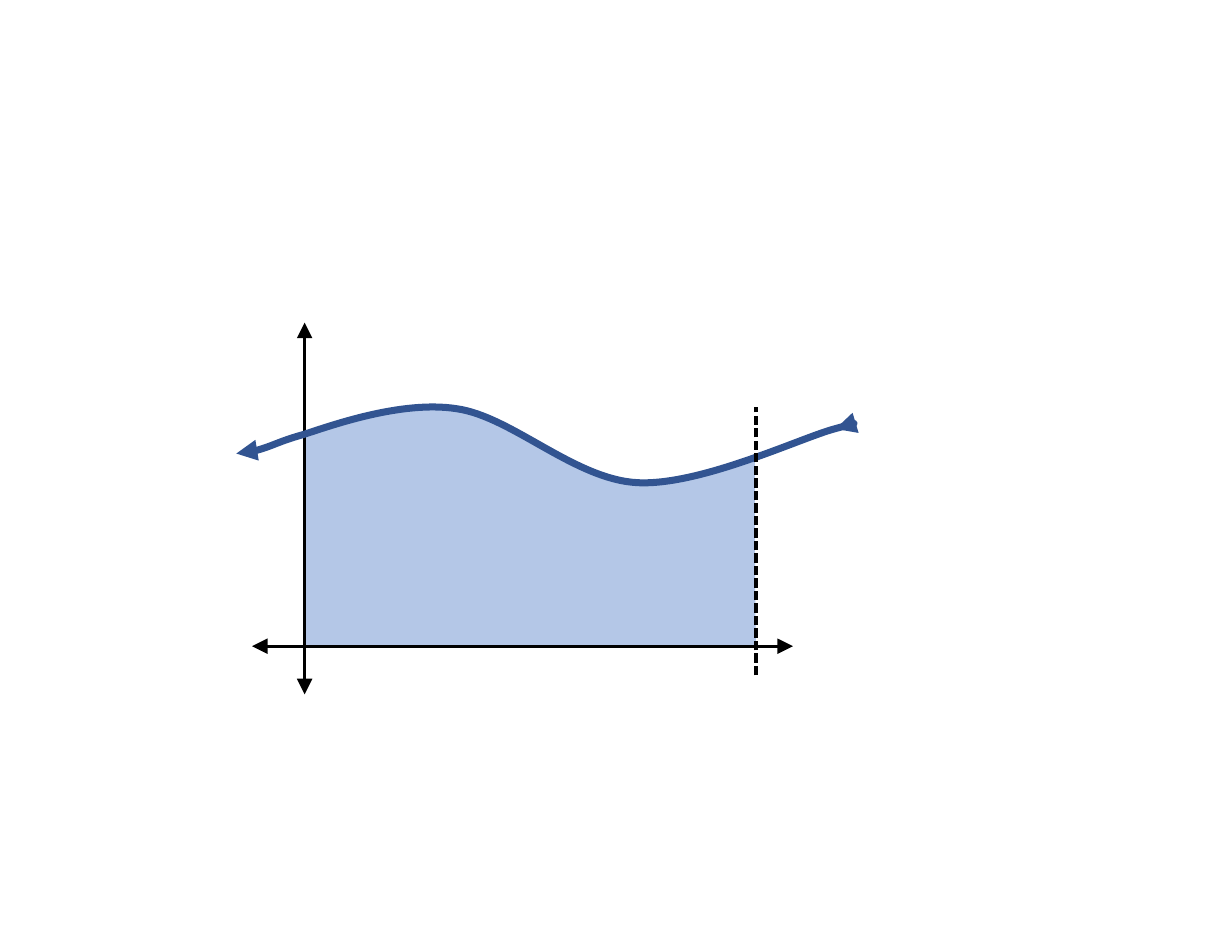
import dataclasses
import pptx
import pptx.dml.color
import pptx.enum.dml
import pptx.enum.shapes
import pptx.oxml
import pptx.oxml.ns
import pptx.util

Inches = pptx.util.Inches
qn = pptx.oxml.ns.qn


@dataclasses.dataclass(frozen=True)
class Theme:
    """Colours and line widths."""
    ink: str = "000000"
    curve: str = "325491"
    area: str = "B4C7E7"
    thin: float = 2
    thick: float = 4.5


def node(tag, **values):
    """Return a new drawing element."""
    item = pptx.oxml.parse_xml(f'<a:{tag} {pptx.oxml.ns.nsdecls("a")}/>')
    for key, value in values.items():
        item.set(key, str(value))
    return item


class Sketch:
    """Draws styled elements on one slide."""

    def __init__(self, slide, theme):
        """Keep the slide and its style."""
        self.shapes = slide.shapes
        self.theme = theme

    def stroke(self, shape, color, width, arrow=None, dash=None):
        """Format a line; arrow is the size of both heads."""
        line = shape.line
        line.color.rgb = pptx.dml.color.RGBColor.from_string(color)
        line.width = pptx.util.Pt(width)
        if dash:
            line.dash_style = dash
        if arrow:
            ln = shape._element.spPr.find(qn("a:ln"))
            for end in ("headEnd", "tailEnd"):
                ln.append(node(end, type="triangle", w=arrow, len=arrow))

    def line(self, start, end, **style):
        """Add a straight thin line."""
        shape = self.shapes.add_connector(
            pptx.enum.shapes.MSO_CONNECTOR.STRAIGHT,
            *(Inches(v) for v in start + end))
        shape._element.spPr.append(node("effectLst"))
        self.stroke(shape, self.theme.ink, self.theme.thin, **style)

    def outline(self, box, start, curves, close):
        """Add a freeform of cubic curves that fills the box."""
        points = [(Inches(x), Inches(y))
                  for x, y in [start] + [p for c in curves for p in c]]
        pen = self.shapes.build_freeform(*points[0])
        pen.add_line_segments(points[1:], close=close)
        shape = pen.convert_to_shape()
        shape.shadow.inherit = False
        left, top, width, height = (Inches(v) for v in box)
        shape.left, shape.top, shape.width, shape.height = left, top, width, height

        route = next(shape._element.iter(qn("a:path")))
        route.set("w", str(width))
        route.set("h", str(height))
        for spot, (x, y) in zip(route.iter(qn("a:pt")), points):
            spot.set("x", str(x - left))
            spot.set("y", str(y - top))
        steps = route.findall(qn("a:lnTo"))
        for i in range(0, 3 * len(curves), 3):
            bend = node("cubicBezTo")
            steps[i].addprevious(bend)
            for step in steps[i:i + 3]:
                bend.append(step[0])
                route.remove(step)
        return shape

    def region(self, *form):
        """Add a filled area with no line."""
        shape = self.outline(*form, True)
        shape.fill.solid()
        shape.fill.fore_color.rgb = pptx.dml.color.RGBColor.from_string(self.theme.area)
        shape.line.fill.background()

    def curve(self, *form):
        """Add a thick open curve with arrowheads."""
        shape = self.outline(*form, False)
        shape.fill.background()
        self.stroke(shape, self.theme.curve, self.theme.thick, arrow="med")


def main():
    """Build and save the area under a curve."""
    deck = pptx.Presentation()
    deck.slide_width, deck.slide_height = Inches(11), Inches(8.5)
    sketch = Sketch(deck.slides.add_slide(deck.slide_layouts[6]), Theme())

    left, right, base, top = 2.72, 6.75, 5.77, 3.63
    sketch.region((left, top, right - left, base - top), (left, base), [
        ((2.73, 5.33), (2.72, 4.26), (2.73, 3.88)),
        ((3.05, 3.8), (3.08, 3.78), (3.32, 3.71)),
        ((3.56, 3.64), (3.85, 3.58), (4.22, 3.67)),
        ((4.59, 3.77), (5.12, 4.22), (5.54, 4.28)),
        ((5.96, 4.35), (6.43, 4.17), (6.74, 4.08)),
        ((6.74, 4.43), (6.74, 5.29), (right, base)),
    ])
    sketch.line((2.25, base), (7.08, base), arrow="lg")
    sketch.line((left, 6.2), (left, 2.88), arrow="lg")
    sketch.curve((2.11, top, 5.51, 0.68), (2.11, 4.05), [
        ((2.33, 4.04), (2.49, 3.94), (2.71, 3.88)),
        ((2.93, 3.81), (3.58, 3.57), (4.08, 3.65)),
        ((4.57, 3.72), (5.13, 4.28), (5.69, 4.31)),
        ((6.25, 4.34), (7.15, 3.91), (7.45, 3.83)),
        ((7.74, 3.75), (7.58, 3.79), (7.46, 3.83)),
    ])
    sketch.line((right, 6.03), (right, top),
                dash=pptx.enum.dml.MSO_LINE.SQUARE_DOT)
    deck.save("out.pptx")


main()
